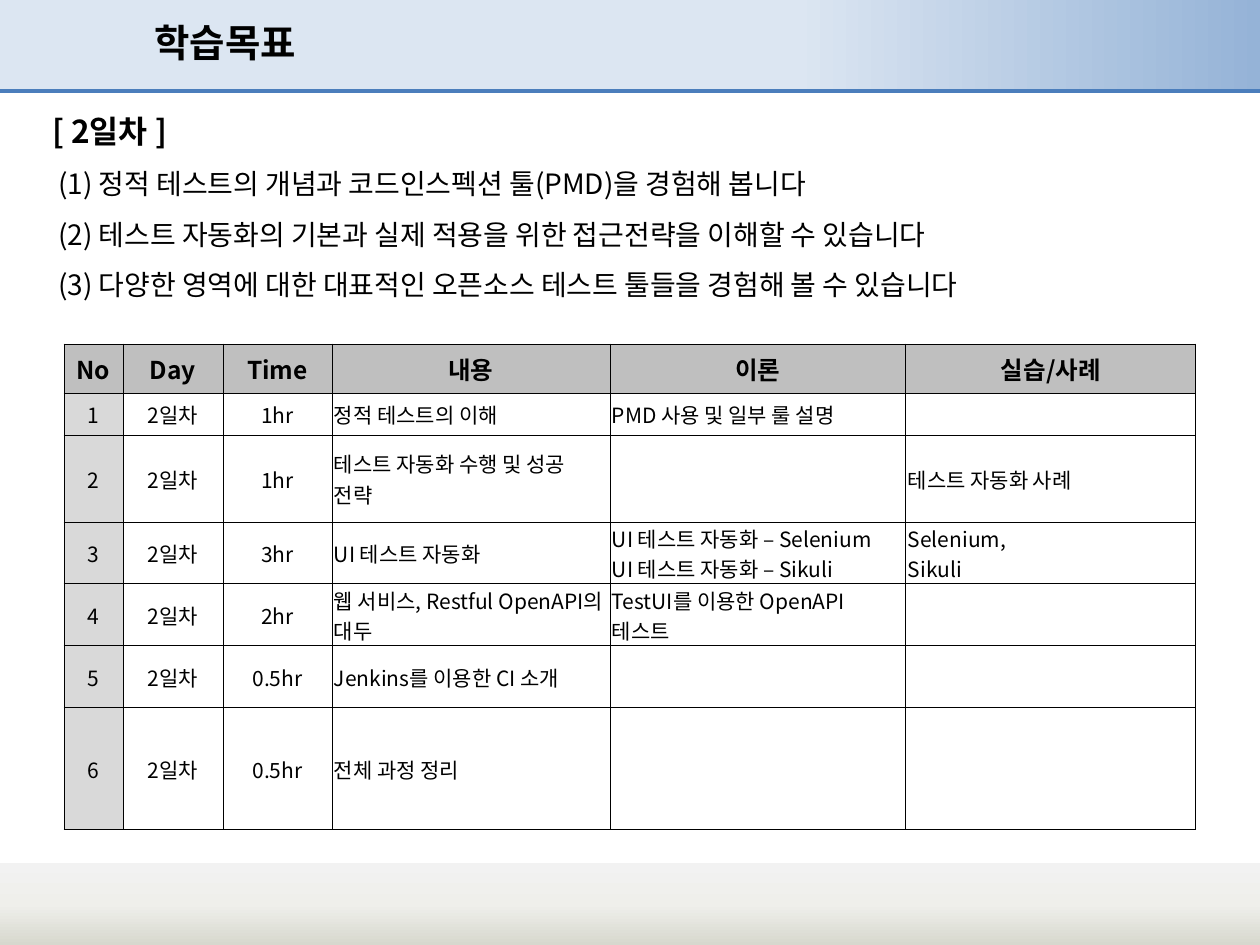
from dataclasses import dataclass

from lxml.etree import SubElement
from pptx import Presentation
from pptx.dml.color import RGBColor
from pptx.enum.shapes import MSO_CONNECTOR, MSO_SHAPE
from pptx.enum.text import MSO_ANCHOR, MSO_AUTO_SIZE, PP_ALIGN
from pptx.oxml import parse_xml
from pptx.oxml.ns import nsdecls, qn
from pptx.util import Emu, Pt

FONT = "Noto Sans CJK KR"
HEADERS = ["No", "Day", "Time", "내용", "이론", "실습/사례"]
COLS = [59, 100, 109, 278, 296, 290]
HEADER_H = 49


@dataclass
class Band:
    top: int
    height: int
    angle: int
    stops: list[tuple[int, str]]


@dataclass
class Lesson:
    height: int
    time: str
    topic: str
    theory: str = ""
    practice: str = ""


BANDS = [
    Band(-1, 92, 0, [(0, "DCE6F2"), (63, "DCE6F2"), (100, "95B3D7")]),
    Band(863, 82, 90, [(0, "F2F2F2"), (50, "EFEFEB"), (100, "D7D8CE")]),
]
GOALS = [
    "정적 테스트의 개념과 코드인스펙션 툴(PMD)을 경험해 봅니다",
    "테스트 자동화의 기본과 실제 적용을 위한 접근전략을 이해할 수 있습니다",
    "다양한 영역에 대한 대표적인 오픈소스 테스트 툴들을 경험해 볼 수 있습니다",
]
LESSONS = [
    Lesson(42, "1hr", "정적 테스트의 이해", "PMD 사용 및 일부 룰 설명"),
    Lesson(87, "1hr", "테스트 자동화 수행 및 성공 전략", practice="테스트 자동화 사례"),
    Lesson(62, "3hr", "UI 테스트 자동화",
           "UI 테스트 자동화 – Selenium\nUI 테스트 자동화 – Sikuli", "Selenium,\nSikuli"),
    Lesson(62, "2hr", "웹 서비스, Restful OpenAPI의 대두", "TestUI를 이용한 OpenAPI 테스트"),
    Lesson(62, "0.5hr", "Jenkins를 이용한 CI 소개"),
    Lesson(122, "0.5hr", "전체 과정 정리"),
]


def px(n: int) -> Emu:
    """Turn pixels at 126 to the inch into EMU."""
    return Emu(round(n * 914400 / 126))


def rgb(color: str) -> RGBColor:
    """Turn a hex string into a colour."""
    return RGBColor.from_string(color)


def write(p, text: str, *, size: int, bold: bool = False, align=PP_ALIGN.LEFT,
          spacing: float = 1.0, indent: int = 0) -> None:
    """Fill one paragraph with formatted text."""
    p.alignment = align
    p.line_spacing = spacing
    if indent:
        p._p.get_or_add_pPr().set("marL", str(px(indent)))
    if not text:
        SubElement(p._p, qn("a:endParaRPr")).set("sz", str(size * 100))
        return
    r = p.add_run()
    r.text = text
    r.font.size, r.font.bold, r.font.name = Pt(size), bold, FONT
    r.font.color.rgb = rgb("000000")
    SubElement(r._r.get_or_add_rPr(), qn("a:ea")).set("typeface", FONT)


def draw_band(s, band: Band) -> None:
    """Draw a full-width gradient band."""
    sp = s.shapes.add_shape(MSO_SHAPE.RECTANGLE, 0, px(band.top), px(1260), px(band.height))
    sp.shadow.inherit = False
    sp.line.fill.background()
    stops = "".join(f'<a:gs pos="{pos * 1000}"><a:srgbClr val="{color}"/></a:gs>'
                    for pos, color in band.stops)
    sp._element.spPr.find(qn("a:prstGeom")).addnext(parse_xml(
        f'<a:gradFill {nsdecls("a")} rotWithShape="1"><a:gsLst>{stops}</a:gsLst>'
        f'<a:lin ang="{band.angle * 60000}" scaled="0"/></a:gradFill>'))


def draw_rule(s) -> None:
    """Draw the line under the title band."""
    line = s.shapes.add_connector(MSO_CONNECTOR.STRAIGHT, 0, px(91), px(1260), px(91))
    line.line.color.rgb, line.line.width = rgb("4B7EBC"), Pt(2)
    SubElement(line._element.spPr, qn("a:effectLst"))


def draw_title(s, text: str) -> None:
    """Place the title placeholder on top of its band."""
    sp = s.shapes.title
    s.shapes._spTree.append(sp._element)
    sp.left, sp.top, sp.width, sp.height = px(142), px(6), px(745), px(72)
    tf = sp.text_frame
    tf.auto_size, tf.vertical_anchor = MSO_AUTO_SIZE.NONE, MSO_ANCHOR.MIDDLE
    write(tf.paragraphs[0], text, size=22, bold=True)


def draw_goals(s) -> None:
    """Write the day heading and the numbered goals."""
    tf = s.shapes.add_textbox(px(40), px(106), px(1174), px(255)).text_frame
    tf.word_wrap = True
    write(tf.paragraphs[0], "[ 2일차 ]", size=18, bold=True)
    for i, goal in enumerate(GOALS, 1):
        write(tf.add_paragraph(), f"({i}) {goal}", size=16, spacing=1.5, indent=6)


def fill_cell(cell, text: str, *, fill: str, size: int = 12, bold: bool = False,
              centred: bool = True) -> None:
    """Format one table cell with thin black borders."""
    cell.margin_left = cell.margin_right = px(1 if centred else 2)
    cell.margin_top, cell.margin_bottom = px(1), 0
    cell.vertical_anchor = MSO_ANCHOR.MIDDLE
    tcPr = cell._tc.get_or_add_tcPr()
    for side in ("lnL", "lnR", "lnT", "lnB"):
        tcPr.append(parse_xml(
            f'<a:{side} {nsdecls("a")} w="6350"><a:solidFill><a:srgbClr val="000000"/>'
            f'</a:solidFill></a:{side}>'))
    cell.fill.solid()
    cell.fill.fore_color.rgb = rgb(fill)
    tf = cell.text_frame
    for i, line in enumerate(text.split("\n")):
        write(tf.add_paragraph() if i else tf.paragraphs[0], line, size=size, bold=bold,
              align=PP_ALIGN.CENTER if centred else PP_ALIGN.LEFT)


def draw_schedule(s) -> None:
    """Draw the timetable of lessons."""
    heights = [HEADER_H] + [lesson.height for lesson in LESSONS]
    table = s.shapes.add_table(len(heights), len(COLS), px(64), px(344),
                               px(sum(COLS)), px(sum(heights))).table
    for col, width in zip(table.columns, COLS):
        col.width = px(width)
    for row, height in zip(table.rows, heights):
        row.height = px(height)
    for c, header in enumerate(HEADERS):
        fill_cell(table.cell(0, c), header, fill="BFBFBF", size=14, bold=True)
    for n, lesson in enumerate(LESSONS, 1):
        texts = [str(n), "2일차", lesson.time, lesson.topic, lesson.theory, lesson.practice]
        for c, text in enumerate(texts):
            fill_cell(table.cell(n, c), text, fill="FFFFFF" if c else "D9D9D9", centred=c < 3)


def main() -> None:
    """Build the slide and save it."""
    prs = Presentation()
    prs.slide_width, prs.slide_height = px(1260), px(945)
    s = prs.slides.add_slide(prs.slide_layouts[5])
    for band in BANDS:
        draw_band(s, band)
    draw_rule(s)
    draw_title(s, "학습목표")
    draw_goals(s)
    draw_schedule(s)
    prs.save("out.pptx")


if __name__ == "__main__":
    main()
